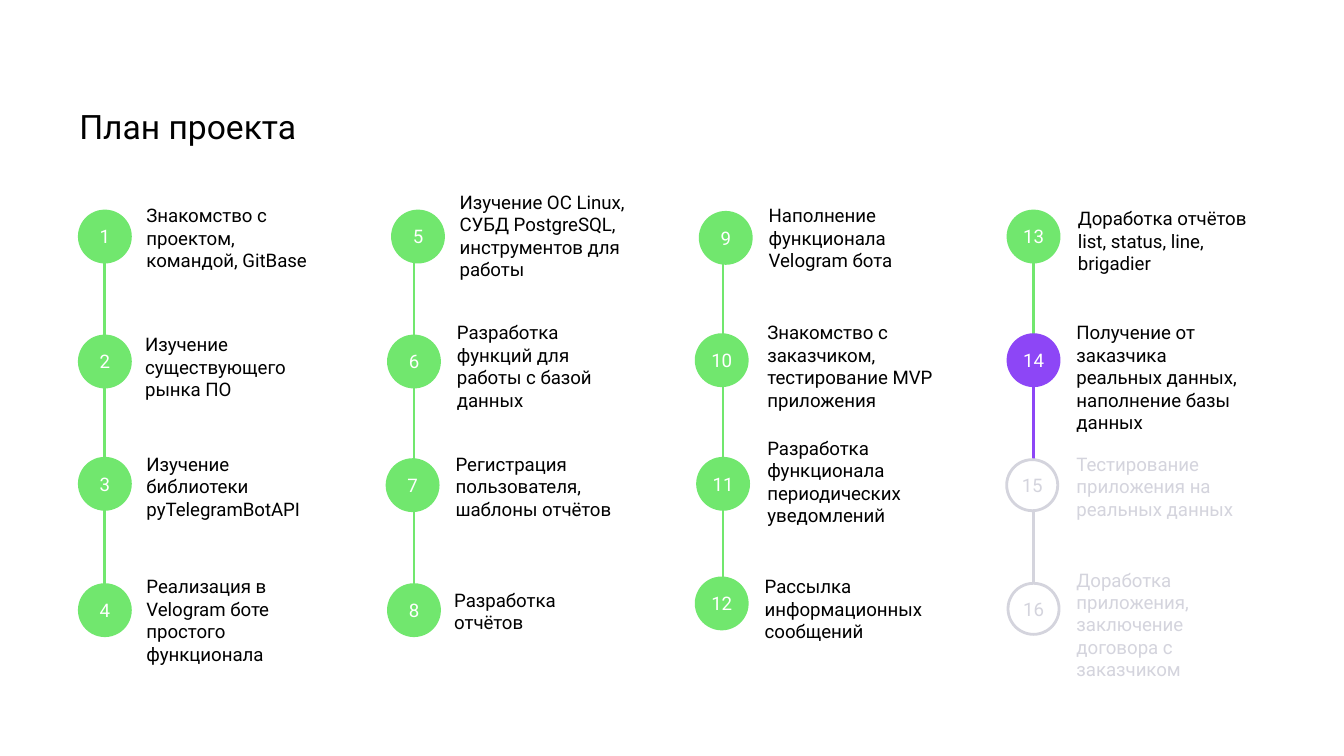
from lxml import etree
from pptx import Presentation
from pptx.dml.color import RGBColor
from pptx.enum.shapes import MSO_CONNECTOR, MSO_SHAPE
from pptx.enum.text import MSO_ANCHOR, MSO_AUTO_SIZE, PP_ALIGN
from pptx.oxml.ns import qn
from pptx.util import Inches, Pt

LINE, OVAL = MSO_CONNECTOR.STRAIGHT, MSO_SHAPE.OVAL
TOP, MIDDLE = MSO_ANCHOR.TOP, MSO_ANCHOR.MIDDLE
LEFT, CENTER = PP_ALIGN.LEFT, PP_ALIGN.CENTER
FIXED = MSO_AUTO_SIZE.NONE

BLACK = RGBColor(0x00, 0x00, 0x00)
WHITE = RGBColor(0xFF, 0xFF, 0xFF)
GREEN = RGBColor(0x71, 0xE7, 0x6E)
PURPLE = RGBColor(0x8D, 0x46, 0xF6)
GRAY = RGBColor(0xD4, 0xD4, 0xDD)

SIZE = 0.38
CURRENT = 14

columns = [
    (0.78, [
        ("Знакомство с проектом, командой, GitBase", 0.59, 1.57, 1.09, 1.42),
        ("Изучение существующего рынка ПО", 0.59, 2.5, 1.08, 2.38),
        ("Изучение библиотеки pyTelegramBotAPI", 0.59, 3.41, 1.09, 3.27),
        ("Реализация в Velogram боте простого функционала", 0.59, 4.35, 1.09, 4.18),
    ]),
    (3.08, [
        ("Изучение ОС Linux, СУБД PostgreSQL, инструментов для работы", 2.92, 1.57, 3.42, 1.32),
        ("Разработка функций для работы с базой данных", 2.89, 2.5, 3.4, 2.29),
        ("Регистрация пользователя, шаблоны отчётов", 2.88, 3.42, 3.39, 3.27),
        ("Разработка отчётов", 2.89, 4.35, 3.38, 4.28),
    ]),
    (5.38, [
        ("Наполнение функционала Velogram бота", 5.21, 1.58, 5.72, 1.42),
        ("Знакомство с заказчиком, тестирование MVP приложения", 5.18, 2.49, 5.71, 2.29),
        ("Разработка функционала периодических уведомлений", 5.19, 3.41, 5.71, 3.15),
        ("Рассылка информационных сообщений", 5.18, 4.3, 5.69, 4.18),
    ]),
    (7.69, [
        ("Доработка отчётов list, status, line, brigadier", 7.5, 1.57, 8.02, 1.44),
        ("Получение от заказчика реальных данных, наполнение базы данных", 7.5, 2.49, 8.01, 2.29),
        ("Тестирование приложения на реальных данных", 7.49, 3.42, 8.01, 3.27),
        ("Доработка приложения, заключение договора с заказчиком", 7.5, 4.34, 8.01, 4.13),
    ]),
]


def write(shape, text, size, color, align=LEFT, anchor=TOP, pad=0):
    frame = shape.text_frame
    frame.auto_size = FIXED
    frame.word_wrap = True
    frame.vertical_anchor = anchor
    frame.margin_left = 0
    frame.margin_top = frame.margin_right = frame.margin_bottom = Inches(pad)
    par = frame.paragraphs[0]
    par.text = text
    par.alignment = align
    par.font.name = "Roboto"
    par.font.size = Pt(size)
    par.font.color.rgb = color


deck = Presentation()
deck.slide_width = Inches(10)
deck.slide_height = Inches(10 * 9 / 16)
slide = deck.slides.add_slide(deck.slide_layouts[5])
shapes = slide.shapes

title = shapes.title
title.left, title.top = Inches(0.59), Inches(0.79)
title.width, title.height = Inches(8.82), Inches(0.35)
write(title, "План проекта", 18, BLACK)

number = 0
for axis, steps in columns:
    for row, (text, left, top, text_left, text_top) in enumerate(steps):
        number += 1
        future = number > CURRENT
        color = GRAY if future else PURPLE if number == CURRENT else GREEN

        if row < len(steps) - 1:
            below = steps[row + 1][2]
            link = shapes.add_connector(
                LINE, Inches(axis), Inches(top + SIZE), Inches(axis), Inches(below))
            link.line.color.rgb = color
            link.line.width = Pt(1.5)
            etree.SubElement(link._element.spPr, qn("a:effectLst"))

        dot = shapes.add_shape(
            OVAL, Inches(left), Inches(top), Inches(SIZE), Inches(SIZE))
        dot.shadow.inherit = False
        dot.fill.solid()
        dot.fill.fore_color.rgb = WHITE if future else color
        dot.line.color.rgb = color
        dot.line.width = Pt(1.5)
        write(dot, str(number), 10, GRAY if future else WHITE, CENTER, MIDDLE)

        label = shapes.add_textbox(
            Inches(text_left), Inches(text_top), Inches(1.4), Inches(0.37))
        write(label, text, 10, GRAY if future else BLACK, pad=0.1)

deck.save("out.pptx")
